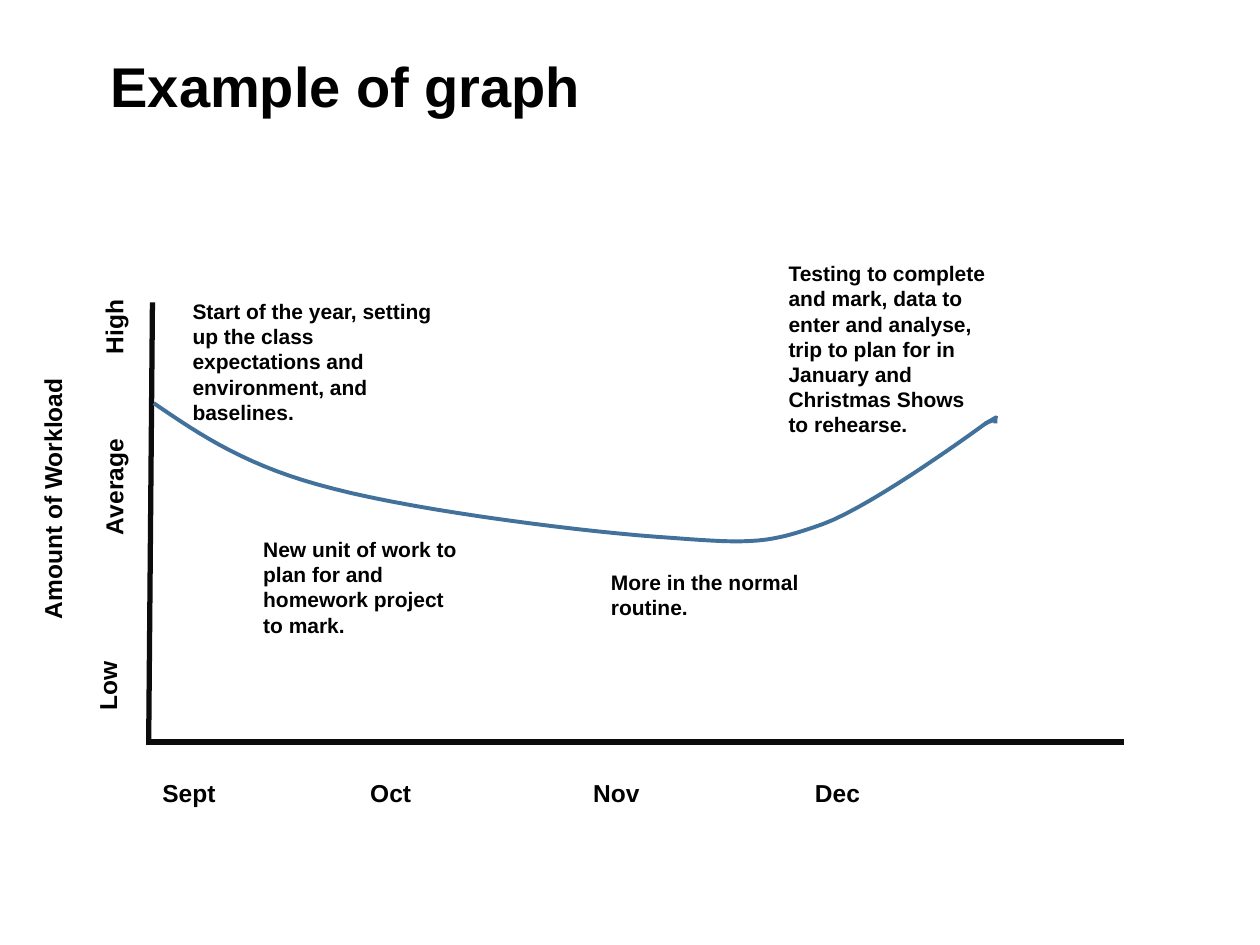
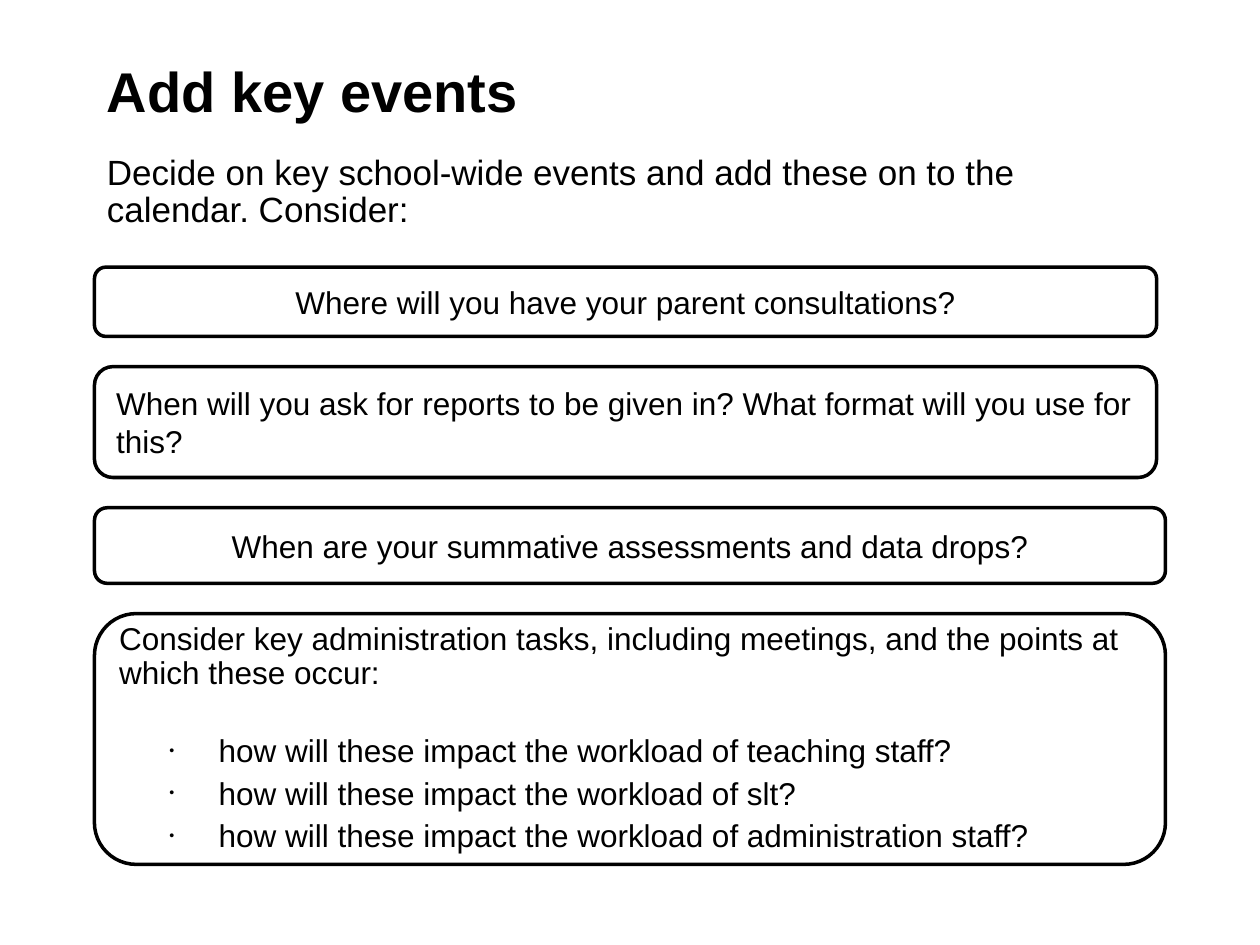
from lxml import etree
from pptx import Presentation
from pptx.dml.color import RGBColor
from pptx.enum import shapes, text
from pptx.oxml.ns import qn
from pptx.util import Inches, Pt

BLACK = RGBColor(0, 0, 0)
WHITE = RGBColor(255, 255, 255)
AXIS = RGBColor(0x0C, 0x0C, 0x0C)
CURVE = RGBColor(0x42, 0x71, 0x9B)
FONT = "Arial"
LEFT, CENTER = text.PP_ALIGN.LEFT, text.PP_ALIGN.CENTER
TOP, MIDDLE = text.MSO_ANCHOR.TOP, text.MSO_ANCHOR.MIDDLE

# Workload graph
AXES = [((1.21, 2.4), (1.18, 5.9)), ((8.92, 5.89), (1.16, 5.89))]
LEVELS = [  # label, left, top, width, height
    ("Amount of Workload", -0.88, 3.57, 3.04, 0.78),
    ("Average", 0.22, 3.56, 1.64, 0.61),
    ("High", 0.22, 2.29, 1.64, 0.61),
    ("Low", 0.17, 5.14, 1.64, 0.61),
]
MONTHS = [("Sept", 1.19), ("Oct", 2.84), ("Nov", 4.61), ("Dec", 6.37)]
NOTES = [
    ("Start of the year, setting up the class expectations and environment, "
     "and baselines.", 1.43, 2.32, 2.13, 1.15),
    ("More in the normal routine.", 4.75, 4.47, 1.79, 0.52),
    ("Testing to complete and mark, data to enter and analyse, trip to plan "
     "for in January and Christmas Shows to rehearse.", 6.16, 2.02, 1.79, 1.56),
    ("New unit of work to plan for and homework project to mark.",
     1.99, 4.21, 1.79, 0.94),
]
START = (1.22, 3.2)
BENDS = [  # two control points and an end point each
    ((1.6, 3.46), (1.97, 3.71), (2.65, 3.88)),
    ((3.34, 4.06), (4.69, 4.23), (5.34, 4.27)),
    ((5.98, 4.32), (6.11, 4.31), (6.53, 4.16)),
    ((6.94, 4.01), (7.81, 3.37), (7.81, 3.37)),
    ((8.03, 3.24), (7.81, 3.37), (7.82, 3.36)),
    ((7.84, 3.35), (7.88, 3.34), (7.89, 3.33)),
    ((7.9, 3.33), (7.9, 3.33), (7.9, 3.33)),
    ((7.9, 3.34), (7.9, 3.36), (7.9, 3.36)),
]

# Key events
INTRO = ("Decide on key school-wide events and add these on to the calendar. "
         "Consider:")
BOX_LEFT, BOX_TOP, BOX_GAP = 0.75, 2.12, 0.24
BOXES = [  # lines, width, height, alignment, side inset
    (["Where will you have your parent consultations?"],
     8.43, 0.55, CENTER, 0.1),
    (["When will you ask for reports to be given in? What format will you "
      "use for this?"], 8.43, 0.88, LEFT, 0.13),
    (["When are your summative assessments and data drops?"],
     8.5, 0.6, CENTER, 0.1),
    (["Consider key administration tasks, including meetings, and the points "
      "at which these occur:",
      "how will these impact the workload of teaching staff?",
      "how will these impact the workload of slt?",
      "how will these impact the workload of administration staff?"],
     8.5, 1.99, LEFT, 0.1),
]


def write(shape, lines, size, bold=False, align=LEFT, anchor=TOP, space=1.0):
    frame = shape.text_frame
    frame.word_wrap = True
    frame.vertical_anchor = anchor
    frame.text = "\n".join(lines)
    for para in frame.paragraphs:
        para.alignment = align
        para.line_spacing = space
        font = para.font
        font.name, font.size, font.bold = FONT, Pt(size), bold
        font.color.rgb = BLACK
    return frame


def label(slide, line, left, top, width, height, size, **style):
    box = slide.shapes.add_textbox(*map(Inches, (left, top, width, height)))
    write(box, [line], size, **style)
    return box


def title(slide, line, left, top):
    label(slide, line, left, top, 8.5, 0.71, 32, bold=True, anchor=MIDDLE)


def bullet(para):
    props = para._p.get_or_add_pPr()
    props.set("marL", str(Inches(0.79)))
    props.set("indent", str(Inches(-0.39)))
    etree.SubElement(props, qn("a:buSzPct")).set("val", "45000")
    etree.SubElement(props, qn("a:buFont")).set("typeface", FONT)
    etree.SubElement(props, qn("a:buChar")).set("char", "•")


def trace(start, bends, steps=16):
    """Points, as lengths, along a chain of cubic Bezier curves."""
    points = [start]
    for one, two, end in bends:
        for step in range(1, steps + 1):
            t = step / steps
            s = 1 - t
            points.append(tuple(
                s**3 * a + 3 * s * s * t * b + 3 * s * t * t * c + t**3 * d
                for a, b, c, d in zip(start, one, two, end)))
        start = end
    return [(Inches(x), Inches(y)) for x, y in points]


def graph(slide):
    title(slide, "Example of graph", 0.78, 0.32)
    for begin, end in AXES:
        axis = slide.shapes.add_connector(
            shapes.MSO_CONNECTOR.STRAIGHT, *map(Inches, begin + end))
        axis.line.color.rgb = AXIS
        axis.line.width = Pt(3)
        etree.SubElement(axis._element.spPr, qn("a:effectLst"))
    for name, *place in LEVELS:
        label(slide, name, *place, 14, bold=True, align=CENTER).rotation = 270
    for name, left in MONTHS:
        label(slide, name, left, 6.06, 1.26, 0.46, 14, bold=True, anchor=MIDDLE)

    first, *rest = trace(START, BENDS)
    pen = slide.shapes.build_freeform(*first)
    pen.add_line_segments(rest, close=False)
    curve = pen.convert_to_shape()
    curve.shadow.inherit = False
    curve.fill.background()
    curve.line.color.rgb = CURVE
    curve.line.width = Pt(2.25)

    for note, *place in NOTES:
        label(slide, note, *place, 12, bold=True)


def events(slide):
    title(slide, "Add key events", 0.75, 0.36)
    label(slide, INTRO, 0.75, 1.18, 8.5, 0.83, 20, space=0.9)
    top = BOX_TOP
    for lines, width, height, align, inset in BOXES:
        box = slide.shapes.add_shape(
            shapes.MSO_SHAPE.ROUNDED_RECTANGLE,
            *map(Inches, (BOX_LEFT, top, width, height)))
        box.shadow.inherit = False
        box.fill.solid()
        box.fill.fore_color.rgb = WHITE
        box.line.color.rgb = BLACK
        box.line.width = Pt(2)
        frame = write(box, lines, 18, align=align, anchor=MIDDLE,
                      space=0.9 if len(lines) > 1 else 1.0)
        frame.margin_left = frame.margin_right = Inches(inset)
        for i, para in enumerate(frame.paragraphs[1:]):
            para.space_before = Pt(5 if i else 25)
            bullet(para)
        top += height + BOX_GAP


def main():
    deck = Presentation()
    deck.slide_width, deck.slide_height = Inches(10), Inches(7.5)
    for draw in (graph, events):
        draw(deck.slides.add_slide(deck.slide_layouts[6]))
    deck.save("out.pptx")


if __name__ == "__main__":
    main()
